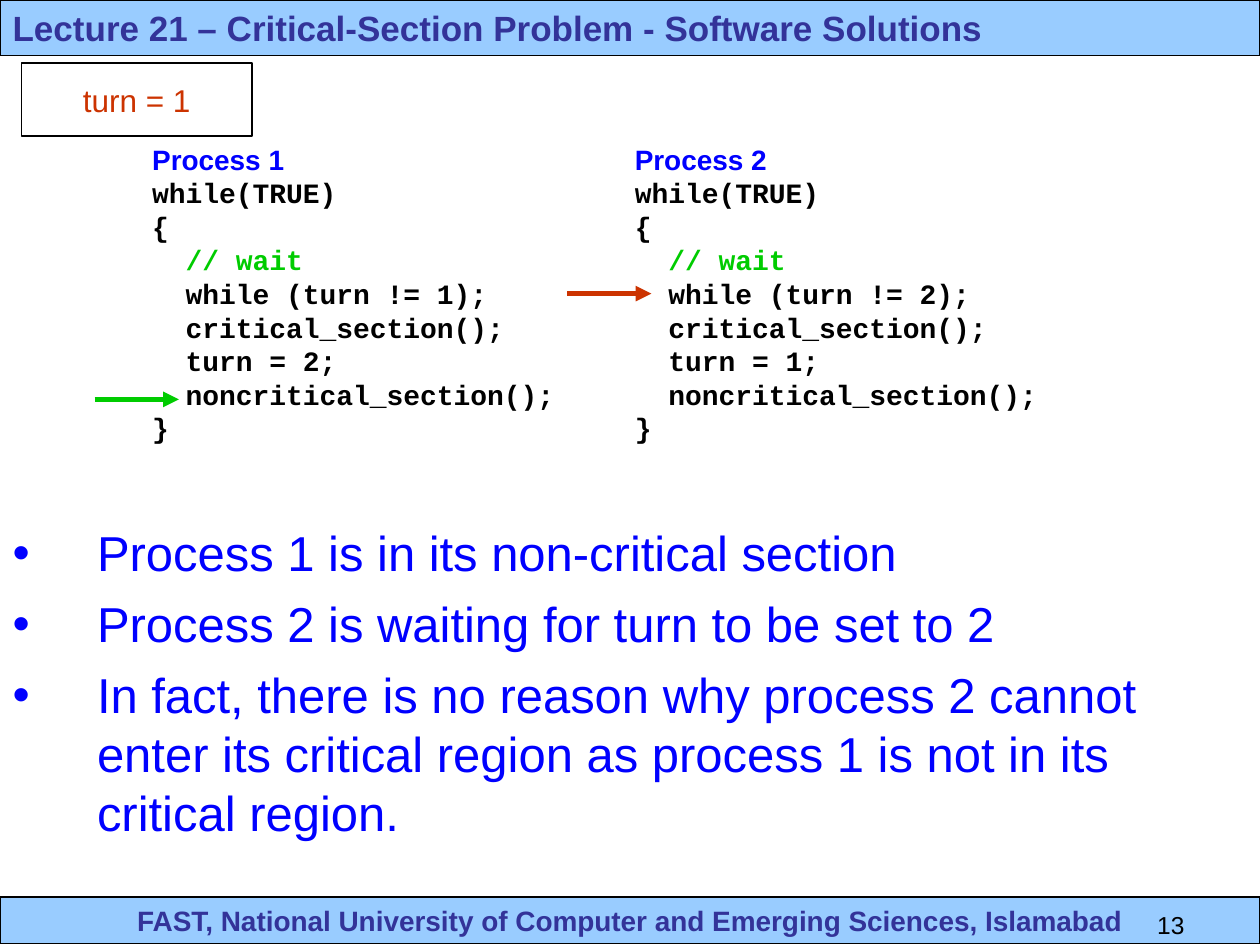
from pptx import Presentation
from pptx.dml.color import RGBColor
from pptx.enum.shapes import MSO_CONNECTOR, MSO_SHAPE
from pptx.enum.text import MSO_ANCHOR, MSO_AUTO_SIZE, PP_ALIGN
from pptx.oxml.ns import qn
from pptx.util import Inches, Pt
from lxml import etree

STRAIGHT = MSO_CONNECTOR.STRAIGHT
RECTANGLE = MSO_SHAPE.RECTANGLE
TOP, MIDDLE = MSO_ANCHOR.TOP, MSO_ANCHOR.MIDDLE
LEFT, CENTER, RIGHT = PP_ALIGN.LEFT, PP_ALIGN.CENTER, PP_ALIGN.RIGHT
NO_AUTOFIT = MSO_AUTO_SIZE.NONE

COLORS = {
    "bar": "99CCFF",
    "bar_text": "333399",
    "black": "000000",
    "white": "FFFFFF",
    "blue": "0000FF",
    "green": "00CC00",
    "red": "CC3300",
}
LINE_FACTOR = 1.2
TITLE = "Lecture 21 – Critical-Section Problem - Software Solutions"
FOOTER = "FAST, National University of Computer and Emerging Sciences, Islamabad"
POINTS = [
    "Process 1 is in its non-critical section",
    "Process 2 is waiting for turn to be set to 2",
    "In fact, there is no reason why process 2 cannot enter its critical region "
    "as process 1 is not in its critical region.",
]


def color(name):
    """Return the named palette colour."""
    return RGBColor.from_string(COLORS[name])


def place(shape, box):
    """Move and size a shape to a box given in inches."""
    shape.left, shape.top, shape.width, shape.height = map(Inches, box)


def format_para(para, size, tint, bold=False, font="Arial", align=LEFT):
    """Format a paragraph and its runs."""
    para.alignment = align
    para.space_before = Pt(0)
    for span in para.runs:
        span.font.name = font
        span.font.size = Pt(size)
        span.font.bold = bold
        span.font.color.rgb = color(tint)


def set_frame(shape, text, anchor=TOP, wrap=True):
    """Write text into a shape and return its paragraphs."""
    frame = shape.text_frame
    frame.text = text
    frame.word_wrap = wrap
    frame.auto_size = NO_AUTOFIT
    frame.vertical_anchor = anchor
    return frame.paragraphs


def paint(shape, fill, width):
    """Give a shape a solid fill and a black outline."""
    shape.fill.solid()
    shape.fill.fore_color.rgb = color(fill)
    shape.line.color.rgb = color("black")
    shape.line.width = Pt(width)


def add_rectangle(page, box, fill, width):
    """Add an outlined rectangle without a shadow."""
    shape = page.shapes.add_shape(RECTANGLE, *map(Inches, box))
    shape.shadow.inherit = False
    paint(shape, fill, width)
    return shape


def add_title(page, box):
    """Fill the title placeholder as the header bar."""
    title = page.shapes.title
    place(title, box)
    paint(title, "bar", 0.75)
    para = set_frame(title, TITLE, MIDDLE)[0]
    format_para(para, 20, "bar_text", bold=True)


def add_footer(page, box):
    """Add the footer bar and the slide number."""
    left, top, width, height = box
    bar = add_rectangle(page, box, "bar", 0.75)
    para = set_frame(bar, FOOTER, MIDDLE)[0]
    format_para(para, 16, "bar_text", bold=True, align=CENTER)
    number_box = (left + width - 2.83, top + 0.05, 2.33, 0.33)
    number = page.shapes.add_textbox(*map(Inches, number_box))
    format_para(set_frame(number, "13")[0], 14, "black", align=RIGHT)


def add_turn(page, box):
    """Add the box showing the shared variable."""
    shape = add_rectangle(page, box, "white", 1)
    para = set_frame(shape, "turn = 1", MIDDLE, wrap=False)[0]
    format_para(para, 18, "red", align=CENTER)


def add_process(page, box, own, other):
    """Add the listing of one process."""
    lines = [
        f"Process {own}",
        "while(TRUE)",
        "{",
        "  // wait",
        f"  while (turn != {own});",
        "  critical_section();",
        f"  turn = {other};",
        "  noncritical_section();",
        "}",
    ]
    listing = page.shapes.add_textbox(*map(Inches, box))
    for index, para in enumerate(set_frame(listing, "\n".join(lines))):
        tint = "green" if "//" in para.text else "black"
        if index == 0:
            format_para(para, 16, "blue", bold=True)
        else:
            format_para(para, 16, tint, bold=True, font="Courier New")
        para.line_spacing = Pt(16 * LINE_FACTOR)


def add_pointer(page, left, top, tint):
    """Add an arrow marking the current line of a process."""
    ends = map(Inches, (left, top, left + 0.67, top))
    arrow = page.shapes.add_connector(STRAIGHT, *ends)
    arrow.line.color.rgb = color(tint)
    arrow.line.width = Pt(3)
    etree.SubElement(arrow.line._get_or_add_ln(), qn("a:tailEnd"), type="triangle")
    etree.SubElement(arrow._element.spPr, qn("a:effectLst"))


def add_points(page, box):
    """Fill the body placeholder with the bulleted conclusions."""
    body = page.placeholders[1]
    place(body, box)
    for index, para in enumerate(set_frame(body, "\n".join(POINTS))):
        format_para(para, 28, "blue")
        para.line_spacing = Pt(28 * LINE_FACTOR)
        para.space_before = Pt(7 if index else 0)
        properties = para._p.get_or_add_pPr()
        properties.set("marL", str(Inches(0.67)))
        properties.set("indent", str(-Inches(0.67)))
        etree.SubElement(properties, qn("a:buFont"), typeface="Arial")
        etree.SubElement(properties, qn("a:buChar"), char="•")


def main():
    """Build and save the deck."""
    deck = Presentation()
    deck.slide_width, deck.slide_height = Inches(10), Inches(7.5)
    page = deck.slides.add_slide(deck.slide_layouts[1])
    add_title(page, (0, 0, 10, 0.44))
    add_footer(page, (0, 7.12, 10, 0.37))
    add_points(page, (0, 4.1, 10, 3))
    add_pointer(page, 0.75, 3.17, "green")
    add_pointer(page, 4.5, 2.33, "red")
    add_process(page, (1.11, 1.08, 5.06, 2.5), 1, 2)
    add_process(page, (4.94, 1.08, 5.06, 2.5), 2, 1)
    add_turn(page, (0.17, 0.5, 1.83, 0.58))
    deck.save("out.pptx")


if __name__ == "__main__":
    main()
